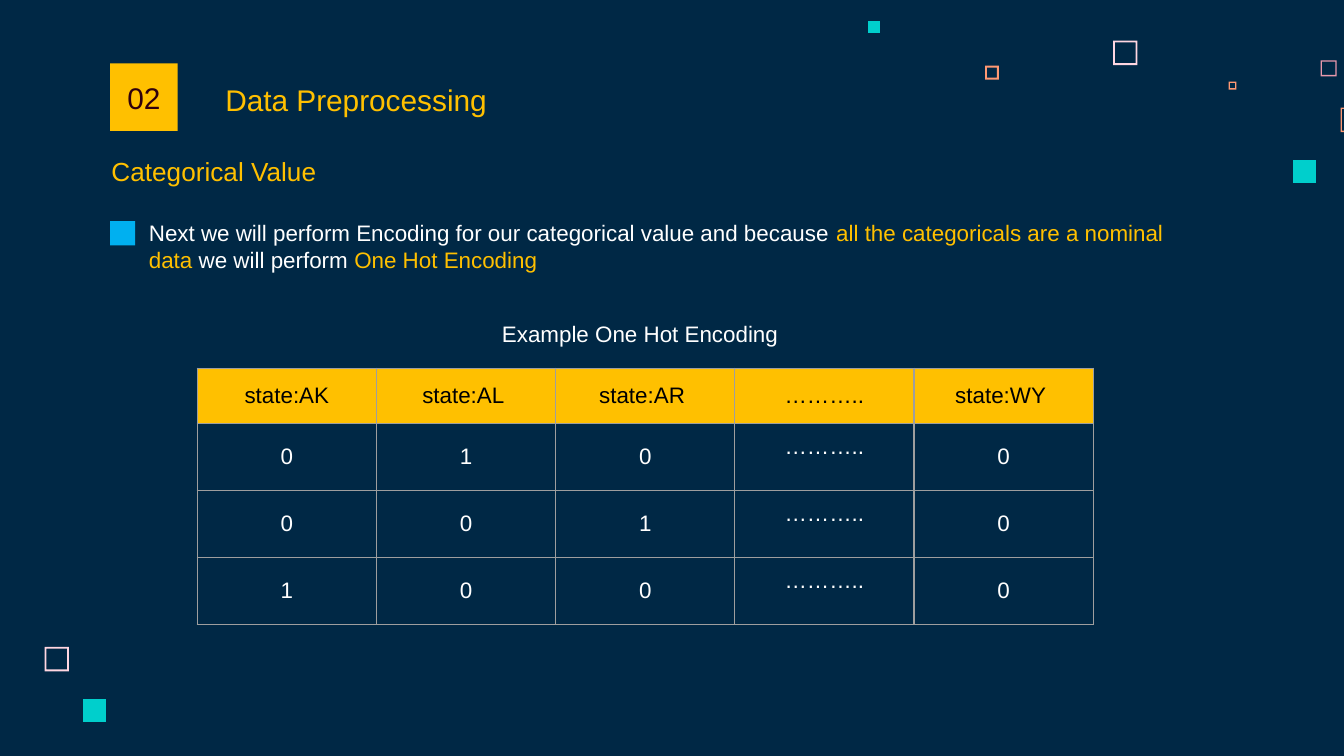
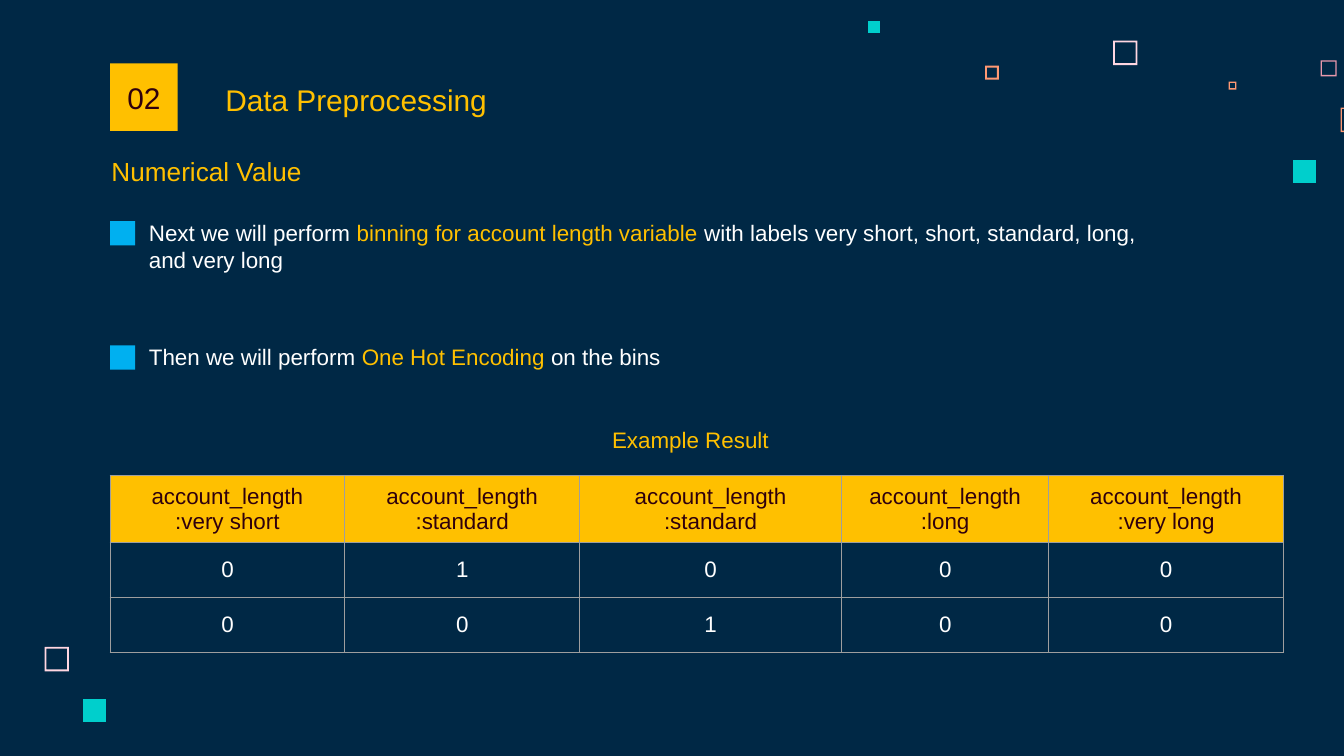
from lxml.etree import SubElement
from pptx import Presentation
from pptx.dml.color import RGBColor
from pptx.enum.shapes import MSO_SHAPE
from pptx.enum.text import MSO_ANCHOR, MSO_AUTO_SIZE, PP_ALIGN
from pptx.oxml.ns import qn
from pptx.util import Pt

NAVY, GOLD, WHITE, BLACK = "002845", "FFC000", "FFFFFF", "000000"
MAROON, BLUE, TEAL, GREY = "2F000D", "00B0F0", "00CFCC", "9E9E9E"
BLUSH, ROSE, CORAL = "FFD6E1", "E898AC", "FF9973"
FONT = "Arial"
MARGIN_LEFT = 59
DOTS = "……….."
HEADER_HEIGHT, TALL_ROW = 29.4, 36

RINGS = [
    (596.3, 21.8, 13.1, 1, BLUSH),
    (707.5, 32.3, 8.6, 0.7, ROSE),
    (658.2, 43.8, 4.2, 0.7, CORAL),
    (718.2, 57.7, 13, 0.7, CORAL),
    (527.7, 35.2, 7.4, 1, CORAL),
    (23.9, 346.6, 13.1, 1, BLUSH),
]
SOLID_SQUARES = [(692.7, 85.7, 12.3), (465, 11.3, 6.5), (44.5, 374.5, 12.3)]


def set_fill(fill, color):
    """Give a fill one solid colour from a hex string."""
    fill.solid()
    fill.fore_color.rgb = RGBColor.from_string(color)


def write_text(frame, text, size=12, color=WHITE, align=PP_ALIGN.LEFT):
    """Write lines as paragraphs; parts between asterisks turn gold."""
    for index, line in enumerate(text.split("\n")):
        paragraph = frame.add_paragraph() if index else frame.paragraphs[0]
        paragraph.alignment = align
        for position, part in enumerate(line.split("*")):
            if not part:
                continue
            run = paragraph.add_run()
            run.text = part
            run.font.name = FONT
            run.font.size = Pt(size)
            run.font.bold = False
            run.font.color.rgb = RGBColor.from_string(GOLD if position % 2 else color)


def add_text(slide, left, top, width, height, text, **text_format):
    """Add a wrapping text box that grows with its text."""
    box = slide.shapes.add_textbox(Pt(left), Pt(top), Pt(width), Pt(height))
    box.text_frame.word_wrap = True
    box.text_frame.auto_size = MSO_AUTO_SIZE.SHAPE_TO_FIT_TEXT
    write_text(box.text_frame, text, **text_format)


def add_rectangle(slide, left, top, width, height, color):
    """Add a plain filled rectangle and return it."""
    shape = slide.shapes.add_shape(
        MSO_SHAPE.RECTANGLE, Pt(left), Pt(top), Pt(width), Pt(height)
    )
    shape.shadow.inherit = False
    set_fill(shape.fill, color)
    shape.line.fill.background()
    return shape


def add_square(slide, left, top, size, color, border=None):
    """Add a freeform square, hollow when a border width is given."""
    right, bottom = left + size, top + size
    contours = [[(left, top), (left, bottom), (right, bottom), (right, top)]]
    if border:
        near_x, near_y = left + border, top + border
        far_x, far_y = right - border, bottom - border
        contours.append(
            [(near_x, near_y), (far_x, near_y), (far_x, far_y), (near_x, far_y)]
        )
    builder = slide.shapes.build_freeform(Pt(left), Pt(top))
    for index, contour in enumerate(contours):
        points = [(Pt(x), Pt(y)) for x, y in contour]
        if index:
            builder.move_to(*points[0])
        builder.add_line_segments(points[1:], close=True)
    shape = builder.convert_to_shape()
    shape.shadow.inherit = False
    set_fill(shape.fill, color)
    shape.line.fill.background()


def add_bullet(slide, top, width, height, text):
    """Add a blue square marker with a statement beside it."""
    add_text(slide, 72.7, top, width, height, text)
    add_rectangle(slide, MARGIN_LEFT, top + 4.7, 13.4, 13, BLUE)


def set_borders(cell):
    """Draw thin grey lines on all four sides of a cell."""
    properties = cell._tc.get_or_add_tcPr()
    for side in ("a:lnL", "a:lnR", "a:lnT", "a:lnB"):
        line = SubElement(properties, qn(side), w=str(Pt(0.75)))
        solid = SubElement(line, qn("a:solidFill"))
        SubElement(solid, qn("a:srgbClr"), val=GREY)


def add_table(slide, left, top, widths, heights, rows, header_color):
    """Add a bordered table with a gold header and centred text."""
    table = slide.shapes.add_table(
        len(rows), len(widths), Pt(left), Pt(top), Pt(sum(widths)), Pt(sum(heights))
    ).table
    table.first_row = False
    table.horz_banding = False
    for column, width in zip(table.columns, widths):
        column.width = Pt(width)
    for row, height in zip(table.rows, heights):
        row.height = Pt(height)
    for row_index, texts in enumerate(rows):
        is_header = row_index == 0
        for column_index, text in enumerate(texts):
            cell = table.cell(row_index, column_index)
            cell.vertical_anchor = MSO_ANCHOR.MIDDLE
            if column_index < 3 or (column_index == 4 and not is_header):
                cell.margin_left = cell.margin_right = Pt(2)
                cell.margin_top = cell.margin_bottom = Pt(1.4)
            elif text == DOTS and not is_header:
                cell.margin_bottom = Pt(14.4)
            set_borders(cell)
            if is_header:
                set_fill(cell.fill, GOLD)
            else:
                cell.fill.background()
            color = header_color if is_header else WHITE
            write_text(cell.text_frame, text, color=color, align=PP_ALIGN.CENTER)


def add_section_slide(presentation, subtitle):
    """Add a slide with the background, squares, number and titles."""
    slide = presentation.slides.add_slide(presentation.slide_layouts[6])
    set_fill(slide.background.fill, NAVY)
    for left, top, size, border, color in RINGS:
        add_square(slide, left, top, size, color, border)
    for left, top, size in SOLID_SQUARES:
        add_square(slide, left, top, size, TEAL)
    add_text(slide, 113.6, 40.3, 193, 26.6, "Data Preprocessing", size=16, color=GOLD)
    badge = add_rectangle(slide, MARGIN_LEFT, 34, 36.2, 36.2, GOLD)
    frame = badge.text_frame
    frame.vertical_anchor = MSO_ANCHOR.MIDDLE
    frame.margin_left = frame.margin_right = Pt(7.2)
    frame.margin_top = frame.margin_bottom = Pt(7.2)
    write_text(frame, "02", size=16, color=MAROON, align=PP_ALIGN.CENTER)
    add_text(slide, 52.6, 79.9, 193, 24.2, subtitle, size=14, color=GOLD)
    return slide


def build_categorical_slide(presentation):
    """Build the slide on encoding categorical values."""
    slide = add_section_slide(presentation, "Categorical Value")
    add_bullet(
        slide, 113.8, 559.4, 36,
        "Next we will perform Encoding for our categorical value and because "
        "*all the categoricals are a nominal data *we will perform *One Hot Encoding*",
    )
    rows = [
        ["state:AK", "state:AL ", "state:AR ", DOTS, "state:WY "],
        ["0", "1", "0", DOTS, "0"],
        ["0", "0", "1", DOTS, "0"],
        ["1", "0", "0", DOTS, "0"],
    ]
    heights = [HEADER_HEIGHT] + [TALL_ROW] * 3
    add_table(slide, 105.7, 197.3, [96] * 5, heights, rows, BLACK)
    add_text(slide, 261.8, 167.8, 180.7, 21.8, "Example One Hot Encoding")


def build_numerical_slide(presentation):
    """Build the slide on binning numerical values."""
    slide = add_section_slide(presentation, "Numerical Value")
    add_bullet(
        slide, 113.8, 559.4, 36,
        "Next we will perform *binning for account length variable *"
        "with labels very short, short, standard, long, and very long",
    )
    labels = ["very short", "standard", "standard", "long", "very long"]
    rows = [
        [f"account_length\n:{label}" for label in labels],
        ["0", "1", "0", "0", "0"],
        ["0", "0", "1", "0", "0"],
    ]
    widths = [125.8, 125.8, 140.4, 110.9, 125.8]
    heights = [TALL_ROW] + [HEADER_HEIGHT] * 2
    add_table(slide, MARGIN_LEFT, 254.7, widths, heights, rows, MAROON)
    add_text(slide, 320.8, 224.8, 104.4, 21.8, "Example Result", color=GOLD)
    add_bullet(
        slide, 180.3, 297.4, 21.8,
        "Then we will perform *One Hot Encoding *on the bins",
    )


def main():
    """Create and save the two-slide presentation."""
    presentation = Presentation()
    presentation.slide_width = Pt(720)
    presentation.slide_height = Pt(405)
    build_categorical_slide(presentation)
    build_numerical_slide(presentation)
    presentation.save("out.pptx")


if __name__ == "__main__":
    main()
